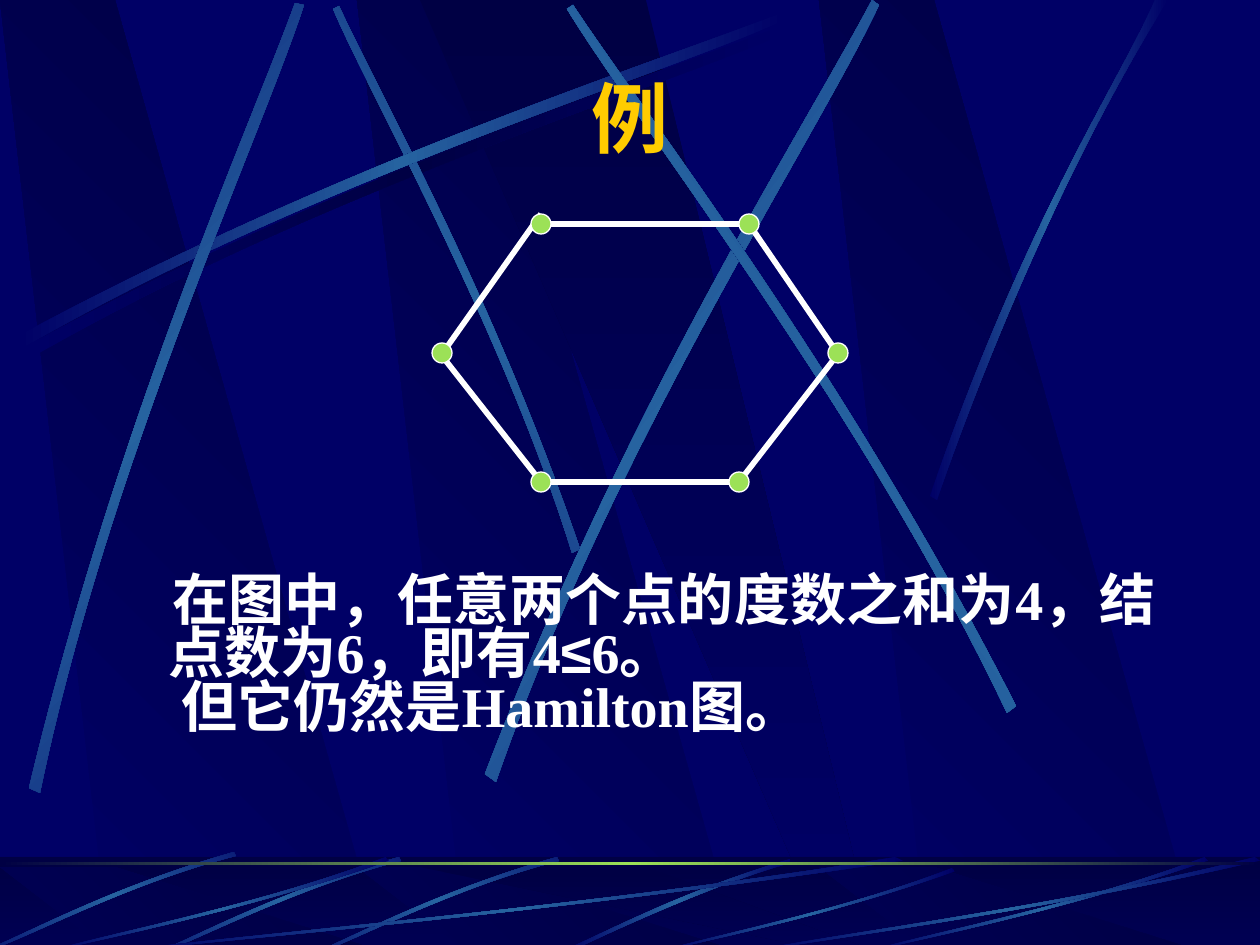
import copy
import math
import pptx
import pptx.dml.color
import pptx.enum.shapes
import pptx.enum.text
import pptx.oxml
import pptx.oxml.ns
import pptx.util
from lxml import etree

SCALE = 914400 / 126
NIGHT, DEEP, STEEL, LIME = "000066", "000044", "2663A0", "9CE157"
WHITE, GOLD = "FFFFFF", "FFCC00"
GLOW = (NIGHT, STEEL, NIGHT)
PANEL_LEFTS = (0, 357, 819)

LONG_STREAKS = (
    (45, ((580, 549), (493, 295), (381, 97), (339, 6)),
     ((333, 9), (372, 100), (501, 325), (572, 553))),
    (0, ((18, 336), (350, 158), (653, 64), (781, 13)),
     ((785, 20), (658, 77), (312, 180), (21, 349))),
    (311.7, ((29, 788), (117, 421), (248, 132), (295, 3)),
     ((304, 5), (261, 137), (108, 464), (40, 793))),
    (321.6, ((485, 774), (627, 403), (804, 129), (872, 0)),
     ((879, 5), (818, 136), (612, 447), (496, 782))),
    (34.8, ((1016, 706), (844, 369), (649, 120), (573, 5)),
     ((567, 9), (639, 127), (863, 410), (1007, 713))),
    (0, ((930, 496), (1026, 218), (1119, 83), (1155, 0)),
     ((1168, 0), (1053, 183), (969, 406), (937, 500))),
)
SHORT_STREAK = (((226, 0), (113, 34), (37, 76), (0, 91)),
                ((7, 92), (53, 70), (155, 23), (227, 4)))
TILTED_STREAK = (((234, 0), (124, 31), (39, 75), (0, 92)),
                 ((1, 94), (40, 79), (137, 29), (236, 4)))
SWEEP = (((1, 0.04), (0.57, 0.57), (0.17, 0.85), (0, 1)),
         ((0, 0.99), (0.17, 0.81), (0.62, 0.51), (0.99, 0)))
HEXAGON_NODES = ((307, 0), (99, 0), (0, 129), (396, 129), (99, 258), (297, 258))
HEXAGON_EDGES = ((99, 0, 307, 0), (99, -10, 0, 130), (-7, 123, 103, 263),
                 (99, 258, 297, 258), (396, 130, 297, 258), (307, 0, 396, 130))


def px(value):
    return pptx.util.Emu(round(value * SCALE))


def color(value):
    return pptx.dml.color.RGBColor.from_string(value)


def tag(name):
    return pptx.oxml.ns.qn("a:" + name)


def paint(shape, colors, angle=0):
    shape.shadow.inherit = False
    shape.line.fill.background()
    if isinstance(colors, str):
        shape.fill.solid()
        shape.fill.fore_color.rgb = color(colors)
        return
    shape.fill.gradient()
    shape.fill.gradient_angle = -angle % 360
    if len(colors) == 3:
        stops = shape._element.spPr.find(".//" + tag("gsLst"))
        stops.append(copy.deepcopy(stops[0]))
    for index, (stop, value) in enumerate(zip(shape.fill.gradient_stops, colors)):
        stop.position = index / (len(colors) - 1)
        stop.color.rgb = color(value)


def turn(point, degrees):
    cos, sin = math.cos(math.radians(degrees)), math.sin(math.radians(degrees))
    return point[0] * cos - point[1] * sin, point[0] * sin + point[1] * cos


def outline(slide, points, colors, angle=0, rotation=0):
    flat = [turn(point, -rotation) for point in points]
    corners = [(px(x), px(y)) for x, y in flat]
    builder = slide.shapes.build_freeform(*corners[0], scale=1.0)
    builder.add_line_segments(corners[1:], close=True)
    shape = builder.convert_to_shape()
    if rotation:
        middle = (shape.left + shape.width / 2, shape.top + shape.height / 2)
        center = turn(middle, rotation)
        shape.left = round(center[0] - shape.width / 2)
        shape.top = round(center[1] - shape.height / 2)
        shape.rotation = rotation
    paint(shape, colors, angle)
    return shape


def streak(slide, edges, box=(0, 0, 1, 1), colors=GLOW, angle=0, rotation=0):
    left, top, width, height = box
    points = [(left + x * width, top + y * height)
              for edge in edges for x, y in edge]
    shape = outline(slide, points, colors, angle, rotation)
    segments = list(shape._element.spPr.iter(tag("lnTo")))
    for bend in (segments[:3], segments[4:7]):
        cubic = etree.Element(tag("cubicBezTo"))
        bend[0].addprevious(cubic)
        for segment in bend:
            cubic.append(segment[0])
            segment.getparent().remove(segment)


def rectangle(slide, box, colors, angle=0):
    shape = slide.shapes.add_shape(
        pptx.enum.shapes.MSO_SHAPE.RECTANGLE, *map(px, box))
    paint(shape, colors, angle)
    return shape


def panels(slide, top, height):
    bottom = top + height
    for left in PANEL_LEFTS:
        outline(slide, [(left + 109, bottom), (left + 381, bottom),
                        (left + 115, top), (left, top)], (NIGHT, DEEP), 315)
    outline(slide, [(420, top), (829, bottom), (875, bottom), (646, top)],
            (DEEP, NIGHT), 90)


def backdrop(slide, box):
    panels(slide, box[1], box[3])
    _, *sweep = LONG_STREAKS[1]
    streak(slide, sweep, (8, 10, 1, 1), (NIGHT, DEEP, NIGHT))
    for rotation, *edges in LONG_STREAKS:
        streak(slide, edges, angle=-2 * rotation, rotation=rotation)


def footer(slide, box):
    left, top, width, height = box
    rectangle(slide, box, (DEEP, NIGHT), 90)
    panels(slide, top + 10, height - 10)
    veil = rectangle(slide, box, DEEP)
    tint = veil._element.spPr.find(".//" + tag("srgbClr"))
    etree.SubElement(tint, tag("alpha"), val="50000")
    streak(slide, SHORT_STREAK, (left + 564, top + 2, 1, 1))
    for x, y in ((323, 0), (165, 0), (0, -5)):
        streak(slide, TILTED_STREAK, (left + x, top + y, 1, 1), rotation=314.9)
    for x, y, span in ((126, 0, 777), (53, 0, 336), (664, 11, 291),
                       (872, 0, 336), (756, 0, 504)):
        streak(slide, SWEEP, (left + x, top + y, span, height - y))
    rectangle(slide, (left, top + 5, width, 3), (DEEP, LIME, DEEP))


def write(slide, box, paragraphs, size, fill, font, align, anchor="TOP",
          margin=0, indents=(0,), spacing=1.0):
    frame = slide.shapes.add_textbox(*map(px, box)).text_frame
    frame.word_wrap = True
    frame.vertical_anchor = getattr(pptx.enum.text.MSO_ANCHOR, anchor)
    for index, (runs, indent) in enumerate(zip(paragraphs, indents)):
        line = frame.add_paragraph() if index else frame.paragraphs[0]
        line.alignment = getattr(pptx.enum.text.PP_ALIGN, align)
        line.line_spacing = spacing
        properties = line._p.get_or_add_pPr()
        properties.set("marL", str(px(margin)))
        properties.set("indent", str(px(indent)))
        for words, face in runs:
            run = line.add_run()
            run.text = words
            run.font.name = face or font
            run.font.size = pptx.util.Pt(size)
            run.font.bold = True
            run.font.color.rgb = color(fill)


def hexagon(slide, box):
    left, top, _, _ = box
    for x1, y1, x2, y2 in HEXAGON_EDGES:
        edge = slide.shapes.add_connector(
            pptx.enum.shapes.MSO_CONNECTOR.STRAIGHT,
            *map(px, (left + x1, top + y1, left + x2, top + y2)))
        edge.line.color.rgb = color(WHITE)
        edge.line.width = pptx.util.Pt(3.25)
        etree.SubElement(edge._element.spPr, tag("effectLst"))
    for x, y in HEXAGON_NODES:
        node = slide.shapes.add_shape(
            pptx.enum.shapes.MSO_SHAPE.OVAL,
            *map(px, (left + x - 10, top + y - 10, 20, 20)))
        paint(node, LIME)
        node.line.color.rgb = color(WHITE)
        node.line.width = pptx.util.Pt(0.75)


def main():
    deck = pptx.Presentation()
    deck.slide_width, deck.slide_height = px(1260), px(945)
    slide = deck.slides.add_slide(deck.slide_layouts[6])
    slide.background.fill.solid()
    slide.background.fill.fore_color.rgb = color(NIGHT)
    backdrop(slide, (0, 0, 1260, 945))
    footer(slide, (0, 857, 1260, 94))
    write(slide, (63, 38, 1134, 158), [[("例", None)]], 44, GOLD,
          "Montserrat", "CENTER", anchor="MIDDLE")
    explanation = [
        [("在图中，任意两个点的度数之和为4，结点数为6，即有4", None),
         ("≤", "Arial"), ("6。", None)],
        [("但它仍然是Hamilton图。", None)]]
    write(slide, (144, 571, 1024, 178), explanation, 32, WHITE,
          "Times New Roman", "JUSTIFY", margin=12, indents=(4, 13), spacing=0.8)
    hexagon(slide, (442, 224, 396, 258))
    deck.save("out.pptx")


if __name__ == "__main__":
    main()
